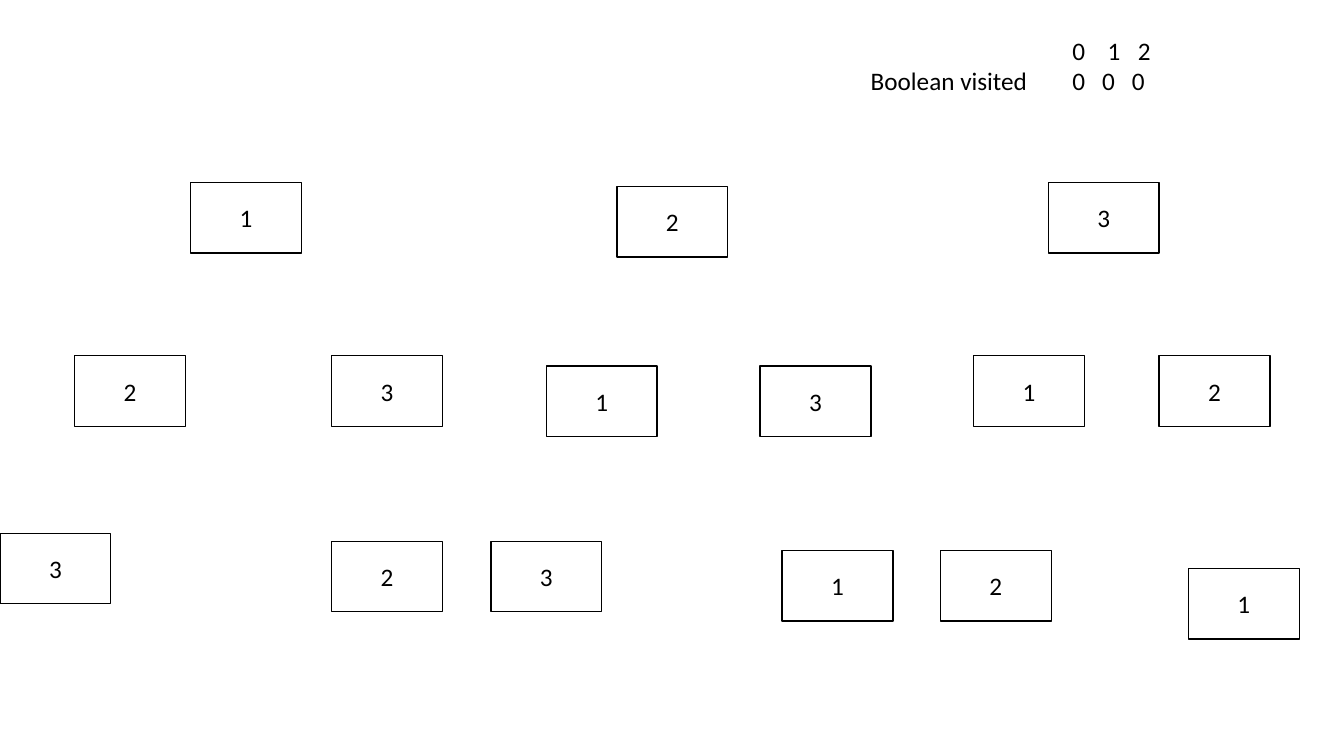
import pptx
import pptx.dml.color
import pptx.enum.shapes
import pptx.enum.text
import pptx.oxml
import pptx.oxml.ns
import pptx.util
from dataclasses import dataclass


@dataclass(frozen=True)
class Theme:
    font: str = "Calibri"
    size: int = 18
    ink: str = "000000"
    fill: str = "FFFFFF"
    line: float = 1


THEME = Theme()
CELL = 0.1  # one grid column or row, in inches
WIDE, HIGH = 133.33, 75
NODE_W, NODE_H = 11, 7

# Each node: label, column, row, child nodes
TREES = [
    ("1", 18.9, 18.1, [
        ("2", 7.4, 35.3, [("3", 0, 52.9, [])]),
        ("3", 32.9, 35.3, [("2", 32.9, 53.7, [])]),
    ]),
    ("2", 61.2, 18.5, [
        ("1", 54.2, 36.3, [("3", 48.7, 53.7, [])]),
        ("3", 75.4, 36.3, [("1", 77.6, 54.6, [])]),
    ]),
    ("3", 104, 18.1, [
        ("1", 96.6, 35.3, [("2", 93.3, 54.6, [])]),
        ("2", 115, 35.3, [("1", 117.9, 56.4, [])]),
    ]),
]

# Each row of the visited list: text, tab stops in columns
ROWS = [
    ("\t0\t1\t2", (20, 23.5, 26.5)),
    ("Boolean visited\t0\t0\t0", (20, 22.95, 25.9)),
]


def grid(count):
    return pptx.util.Inches(count * CELL)


def tint(code):
    return pptx.dml.color.RGBColor.from_string(code)


def style(para):
    for run in para.runs:
        run.font.name = THEME.font
        run.font.size = pptx.util.Pt(THEME.size)
        run.font.color.rgb = tint(THEME.ink)


def set_tabs(para, stops):
    tabs = pptx.oxml.parse_xml(
        "<a:tabLst %s/>" % pptx.oxml.ns.nsdecls("a"))
    for stop in stops:
        tab = tabs.makeelement(pptx.oxml.ns.qn("a:tab"),
                               {"pos": str(grid(stop)), "algn": "l"})
        tabs.append(tab)
    para._p.get_or_add_pPr().append(tabs)


def add_list(slide, left, top, width, height):
    box = slide.shapes.add_textbox(
        grid(left), grid(top), grid(width), grid(height))
    frame = box.text_frame
    frame.word_wrap = True
    frame.margin_top = grid(3.5)
    frame.text = "\n".join(text for text, stops in ROWS)
    for para, (text, stops) in zip(frame.paragraphs, ROWS):
        set_tabs(para, stops)
        style(para)


def add_node(slide, label, col, row):
    node = slide.shapes.add_shape(
        pptx.enum.shapes.MSO_SHAPE.RECTANGLE,
        grid(col), grid(row), grid(NODE_W), grid(NODE_H))
    node.shadow.inherit = False
    node.fill.solid()
    node.fill.fore_color.rgb = tint(THEME.fill)
    node.line.color.rgb = tint(THEME.ink)
    node.line.width = pptx.util.Pt(THEME.line)
    frame = node.text_frame
    frame.text = label
    frame.vertical_anchor = pptx.enum.text.MSO_ANCHOR.MIDDLE
    para = frame.paragraphs[0]
    para.alignment = pptx.enum.text.PP_ALIGN.CENTER
    style(para)


def add_tree(slide, tree):
    label, col, row, kids = tree
    add_node(slide, label, col, row)
    for kid in kids:
        add_tree(slide, kid)


def main():
    deck = pptx.Presentation()
    deck.slide_width, deck.slide_height = grid(WIDE), grid(HIGH)
    slide = deck.slides.add_slide(deck.slide_layouts[6])

    # Visited list at the top right
    add_list(slide, 85.4, 0, 45, 10.1)

    # One tree for each first choice
    for tree in TREES:
        add_tree(slide, tree)

    deck.save("out.pptx")


if __name__ == "__main__":
    main()
